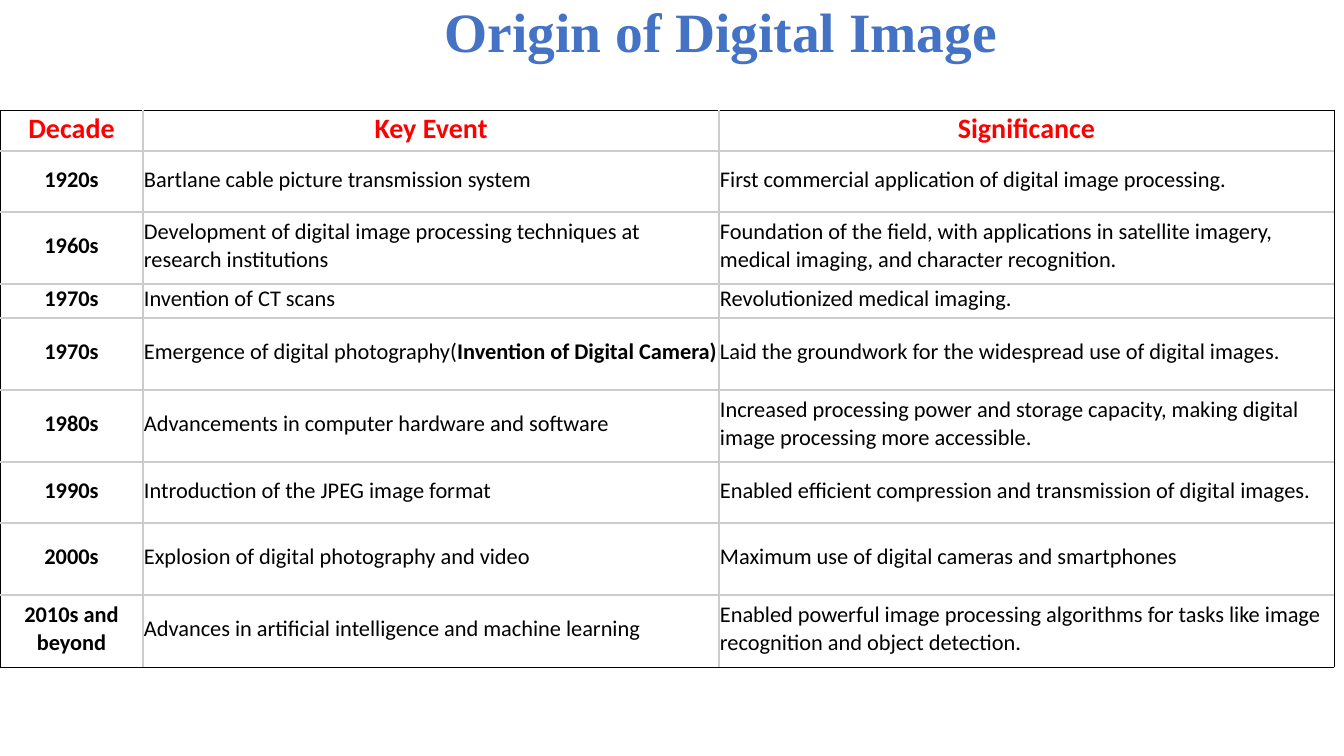
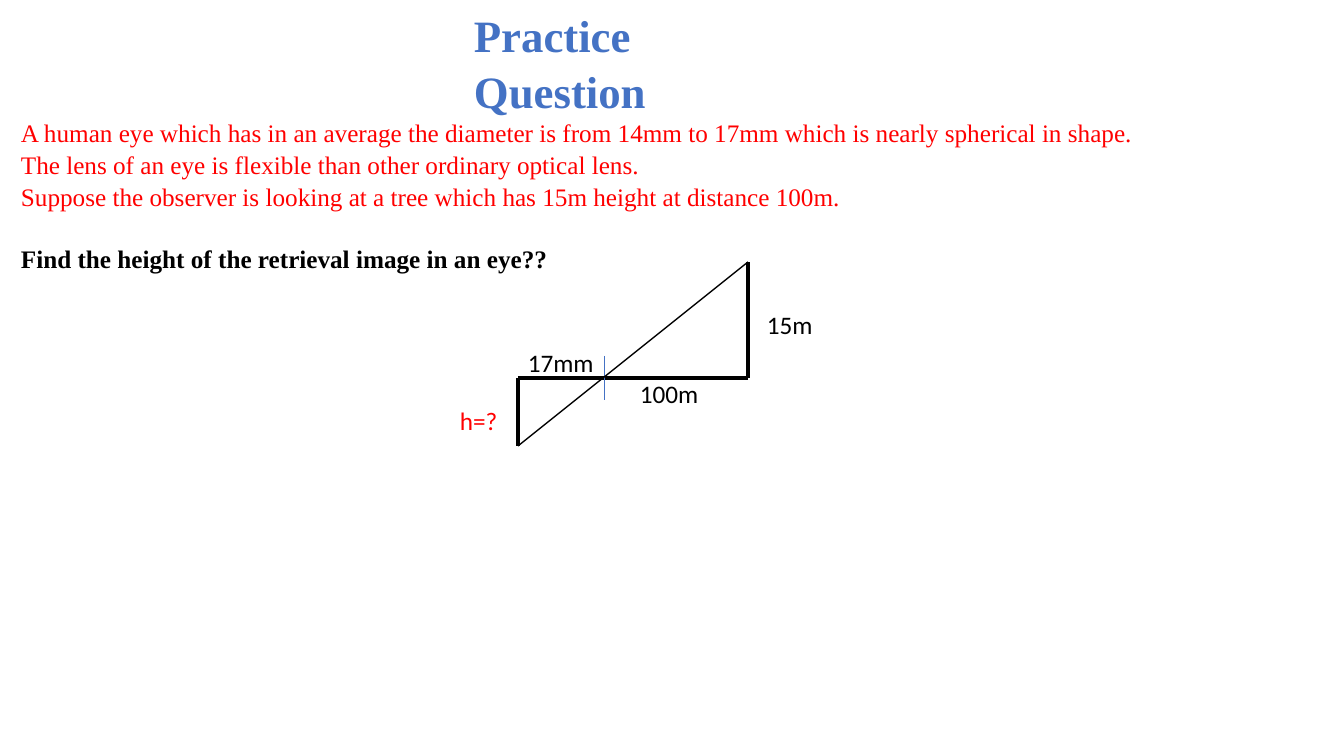
from lxml.etree import SubElement
from pptx import Presentation
from pptx.dml.color import RGBColor
from pptx.enum.shapes import MSO_CONNECTOR as Connector
from pptx.enum.text import MSO_ANCHOR as Anchor, PP_ALIGN as Align
from pptx.oxml.ns import qn
from pptx.util import Emu, Pt

PX = 914400 / 100.8
BLUE = RGBColor(0x44, 0x72, 0xC4)
RED = RGBColor(0xFF, 0x00, 0x00)
BLACK = RGBColor(0x00, 0x00, 0x00)
GREY = RGBColor(0xCC, 0xCC, 0xCC)
SERIF, SANS = "Times New Roman", "Calibri"
TITLE_STYLE = dict(font=SERIF, color=BLUE, bold=True)

HEADINGS = ("Decade", "Key Event", "Significance")
# A cell is a string, or a list of (text, bold) runs.
EVENTS = [
    ("1920s", "Bartlane cable picture transmission system",
     "First commercial application of digital image processing."),
    ("1960s", "Development of digital image processing techniques at research institutions",
     "Foundation of the field, with applications in satellite imagery, "
     "medical imaging, and character recognition."),
    ("1970s", "Invention of CT scans", "Revolutionized medical imaging."),
    ("1970s", [("Emergence of digital photography(", False),
               ("Invention of Digital Camera)", True)],
     "Laid the groundwork for the widespread use of digital images."),
    ("1980s", "Advancements in computer hardware and software",
     "Increased processing power and storage capacity, making digital "
     "image processing more accessible."),
    ("1990s", "Introduction of the JPEG image format",
     "Enabled efficient compression and transmission of digital images."),
    ("2000s", "Explosion of digital photography and video",
     "Maximum use of digital cameras and smartphones"),
    ("2010s and beyond", "Advances in artificial intelligence and machine learning",
     "Enabled powerful image processing algorithms for tasks like image "
     "recognition and object detection."),
]
COLUMN_WIDTHS = (143, 576, 615)
ROW_HEIGHTS = (41, 61, 72, 34, 72, 72, 61, 72, 72)

FACTS = [
    "A human eye which has in an average the diameter is from 14mm to 17mm "
    "which is nearly spherical in shape.",
    "The lens of an eye is flexible than other ordinary optical lens.",
    "Suppose the observer is looking at a tree which has 15m height at distance 100m.",
]
QUESTION = "Find the height of the retrieval image in an eye??"

RETINA_X, LENS_X, TREE_X = 518, 604, 748
TREE_TOP, AXIS_Y, IMAGE_BOTTOM = 262, 378, 446
LENS_HALF = 22
RAYS = [  # start, end, colour, points
    ((RETINA_X, AXIS_Y), (TREE_X, AXIS_Y), BLACK, 2.25),
    ((TREE_X, AXIS_Y), (TREE_X, TREE_TOP), BLACK, 2.25),
    ((LENS_X, AXIS_Y - LENS_HALF), (LENS_X, AXIS_Y + LENS_HALF), BLUE, 0.5),
    ((RETINA_X, IMAGE_BOTTOM), (RETINA_X, AXIS_Y), BLACK, 2.25),
    ((RETINA_X, IMAGE_BOTTOM), (TREE_X, TREE_TOP), BLACK, 1),
]
LABELS = [  # text, left, top, width, colour
    ("15m", 757, 304, 67, BLACK),
    ("100m", 630, 373, 80, BLACK),
    ("h=?", 450, 400, 58, RED),
    ("17mm", 518, 342, 87, BLACK),
]
LABEL_HEIGHT = 40


def px(length):
    return Emu(round(length * PX))


def write(frame, content, size=18, font=SANS, color=BLACK, bold=False,
          align=Align.LEFT, spacing=None, before=None, more=False):
    """Write one paragraph; more=True appends it after those already there."""
    paragraph = frame.add_paragraph() if more else frame.paragraphs[0]
    paragraph.alignment = align
    paragraph.line_spacing = spacing
    if before:
        paragraph.space_before = Pt(before)
    for text, run_bold in [(content, bold)] if isinstance(content, str) else content:
        run = paragraph.add_run()
        run.text = text
        run.font.size = Pt(size)
        run.font.name = font
        run.font.bold = run_bold
        run.font.color.rgb = color


def add_frame(slide, left, top, width, height, wrap=True, anchor=Anchor.TOP):
    frame = slide.shapes.add_textbox(px(left), px(top), px(width), px(height)).text_frame
    frame.word_wrap = wrap
    frame.vertical_anchor = anchor
    return frame


def set_borders(cell, sides):
    """Draw (tag, colour, points) borders, which must precede the cell's fill."""
    properties = cell._tc.get_or_add_tcPr()
    for position, (tag, color, points) in enumerate(sides):
        line = SubElement(properties, qn(f"a:{tag}"), w=str(Pt(points)))
        SubElement(SubElement(line, qn("a:solidFill")), qn("a:srgbClr"), val=str(color))
        properties.insert(position, line)


def add_events_table(slide, left, top):
    rows = [HEADINGS, *EVENTS]
    last_row, last_column = len(rows) - 1, len(HEADINGS) - 1
    table = slide.shapes.add_table(
        len(rows), len(HEADINGS), px(left), px(top),
        px(sum(COLUMN_WIDTHS)), px(sum(ROW_HEIGHTS))).table
    table.first_row = table.horz_banding = False
    for column, width in zip(table.columns, COLUMN_WIDTHS):
        column.width = px(width)
    for r, (row, height) in enumerate(zip(rows, ROW_HEIGHTS)):
        table.rows[r].height = px(height)
        for c, content in enumerate(row):
            cell = table.cell(r, c)
            cell.margin_left = cell.margin_top = cell.margin_right = px(1)
            cell.margin_bottom = px(5)
            heading = r == 0
            cell.vertical_anchor = Anchor.BOTTOM if heading else Anchor.MIDDLE
            centred = heading or c == 0
            write(cell.text_frame, content, size=20 if heading else 16,
                  color=RED if heading else BLACK, bold=centred,
                  align=Align.CENTER if centred else Align.LEFT)
            cell.fill.background()
            outer = {"lnL": c == 0, "lnR": c == last_column,
                     "lnT": r == 0, "lnB": r == last_row}
            set_borders(cell, [(tag, BLACK, 0.5) if edge else (tag, GREY, 1)
                               for tag, edge in outer.items()])


def add_line(slide, start, end, color, points):
    line = slide.shapes.add_connector(
        Connector.STRAIGHT, *(px(value) for value in (*start, *end)))
    line.line.color.rgb = color
    line.line.width = Pt(points)
    SubElement(line._element.spPr, qn("a:effectLst"))


def build_origin(slide):
    title = add_frame(slide, 197, 0, 1048, 70, anchor=Anchor.MIDDLE)
    write(title, "Origin of Digital Image", size=39.6, align=Align.CENTER,
          spacing=0.9, **TITLE_STYLE)
    add_events_table(slide, 0, 110)


def build_practice(slide):
    title = add_frame(slide, 464, 0, 360, 65)
    title.margin_right = px(100)
    write(title, "Practice Question", size=32, spacing=1.05, **TITLE_STYLE)
    body = add_frame(slide, 11, 111, 1344, 162)
    for index, fact in enumerate(FACTS):
        write(body, fact, font=SERIF, color=RED, spacing=1.05, more=index > 0)
    write(body, QUESTION, font=SERIF, bold=True, spacing=1.05, before=21.6, more=True)
    for ray in RAYS:
        add_line(slide, *ray)
    for text, left, top, width, color in LABELS:
        write(add_frame(slide, left, top, width, LABEL_HEIGHT, wrap=False),
              text, color=color)


def main():
    deck = Presentation()
    deck.slide_width, deck.slide_height = px(1344), px(756)
    for build in (build_origin, build_practice):
        build(deck.slides.add_slide(deck.slide_layouts[6]))
    deck.save("out.pptx")


if __name__ == "__main__":
    main()
